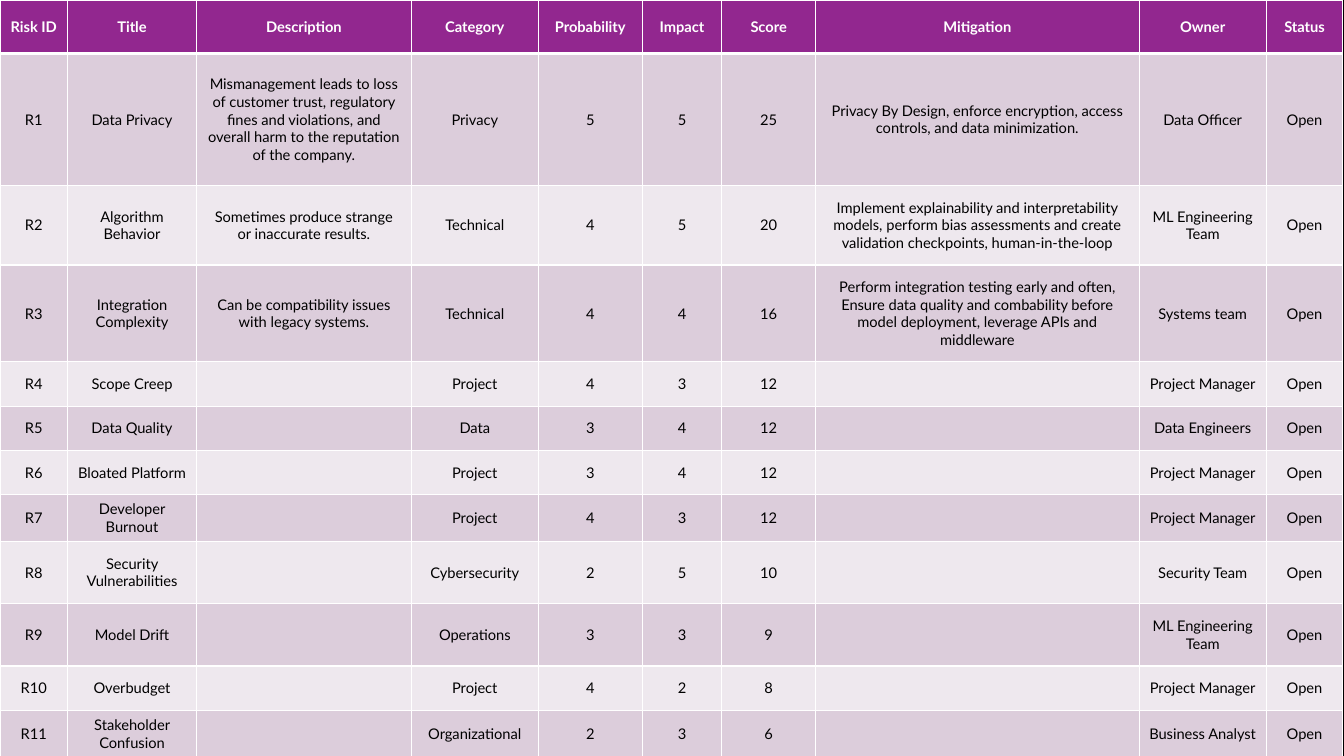
from dataclasses import dataclass

from lxml import etree
from pptx import Presentation
from pptx import util as u
from pptx.dml.color import RGBColor
from pptx.enum import text
from pptx.oxml import ns


@dataclass(frozen=True)
class Theme:
    font: str = "Lato"
    size: float = 10.5
    background: str = "000000"
    header: str = "92278F"
    header_text: str = "FFFFFF"
    body_text: str = "000000"
    bands: tuple = ("DCCDDB", "EEE8EE")
    border: str = "FFFFFF"
    thin: float = 1
    thick: float = 3


THEME = Theme()

COLUMNS = {
    "Risk ID": 0.67, "Title": 1.28, "Description": 2.13, "Category": 1.26,
    "Probability": 1.03, "Impact": 0.79, "Score": 0.93, "Mitigation": 3.21,
    "Owner": 1.26, "Status": 0.76,
}
HEADER_HEIGHT = 0.53

# Row height, title, category, probability, impact, owner
RISKS = [
    (1.31, "Data Privacy", "Privacy", 5, 5, "Data Officer"),
    (0.79, "Algorithm Behavior", "Technical", 4, 5, "ML Engineering Team"),
    (0.96, "Integration Complexity", "Technical", 4, 4, "Systems team"),
    (0.44, "Scope Creep", "Project", 4, 3, "Project Manager"),
    (0.44, "Data Quality", "Data", 3, 4, "Data Engineers"),
    (0.44, "Bloated Platform", "Project", 3, 4, "Project Manager"),
    (0.46, "Developer Burnout", "Project", 4, 3, "Project Manager"),
    (0.62, "Security Vulnerabilities", "Cybersecurity", 2, 5, "Security Team"),
    (0.62, "Model Drift", "Operations", 3, 3, "ML Engineering Team"),
    (0.44, "Overbudget", "Project", 4, 2, "Project Manager"),
    (0.46, "Stakeholder Confusion", "Organizational", 2, 3, "Business Analyst"),
]

# Description and mitigation of the risks that have them
DETAILS = {
    "Data Privacy": (
        "Mismanagement leads to loss of customer trust, regulatory fines and "
        "violations, and overall harm to the reputation of the company.",
        "Privacy By Design, enforce encryption, access controls, and data minimization.",
    ),
    "Algorithm Behavior": (
        "Sometimes produce strange or inaccurate results.",
        "Implement explainability and interpretability models, perform bias assessments "
        "and create validation checkpoints, human-in-the-loop",
    ),
    "Integration Complexity": (
        "Can be compatibility issues with legacy systems.",
        "Perform integration testing early and often, Ensure data quality and combability "
        "before model deployment, leverage APIs and middleware",
    ),
}


def risk_values(number, risk):
    """Return one register row; the score is probability times impact."""
    _, title, category, probability, impact, owner = risk
    description, mitigation = DETAILS.get(title, ("", ""))
    return (f"R{number}", title, description, category, probability, impact,
            probability * impact, mitigation, owner, "Open")


def write_text(cell, content, *, color, bold=False):
    cell.vertical_anchor = text.MSO_ANCHOR.MIDDLE
    para = cell.text_frame.paragraphs[0]
    para.alignment = text.PP_ALIGN.CENTER
    para.font.size = u.Pt(THEME.size)
    if not content:
        return
    span = para.add_run()
    span.text = str(content)
    span.font.name = THEME.font
    span.font.size = u.Pt(THEME.size)
    span.font.bold = bold
    span.font.color.rgb = RGBColor.from_string(color)


def set_borders(cell, *, top, bottom):
    properties = cell._tc.get_or_add_tcPr()
    widths = {"lnL": THEME.thin, "lnR": THEME.thin, "lnT": top, "lnB": bottom}
    for side, width in widths.items():
        line = etree.SubElement(properties, ns.qn(f"a:{side}"), w=str(u.Pt(width)))
        fill = etree.SubElement(line, ns.qn("a:solidFill"))
        etree.SubElement(fill, ns.qn("a:srgbClr"), val=THEME.border)


def fill_row(table, index, values, *, fill, color, bold=False,
             top=THEME.thin, bottom=THEME.thin):
    for cell, value in zip(table.rows[index].cells, values):
        set_borders(cell, top=top, bottom=bottom)
        cell.fill.solid()
        cell.fill.fore_color.rgb = RGBColor.from_string(fill)
        write_text(cell, value, color=color, bold=bold)


def add_register(page):
    heights = [HEADER_HEIGHT, *(risk[0] for risk in RISKS)]
    frame = page.shapes.add_table(
        len(heights), len(COLUMNS), u.Inches(0), u.Inches(0),
        u.Inches(sum(COLUMNS.values())), u.Inches(sum(heights)))
    table = frame.table
    for column, width in zip(table.columns, COLUMNS.values()):
        column.width = u.Inches(width)
    for row, height in zip(table.rows, heights):
        row.height = u.Inches(height)

    # Header, then banded risk rows
    fill_row(table, 0, COLUMNS, fill=THEME.header, color=THEME.header_text,
             bold=True, bottom=THEME.thick)
    for number, risk in enumerate(RISKS, start=1):
        fill_row(table, number, risk_values(number, risk),
                 fill=THEME.bands[(number - 1) % 2], color=THEME.body_text,
                 top=THEME.thick if number == 1 else THEME.thin)


def main():
    deck = Presentation()
    deck.slide_width, deck.slide_height = u.Inches(13.33), u.Inches(7.5)
    page = deck.slides.add_slide(deck.slide_layouts[6])
    page.background.fill.solid()
    page.background.fill.fore_color.rgb = RGBColor.from_string(THEME.background)
    add_register(page)
    deck.save("out.pptx")


if __name__ == "__main__":
    main()
